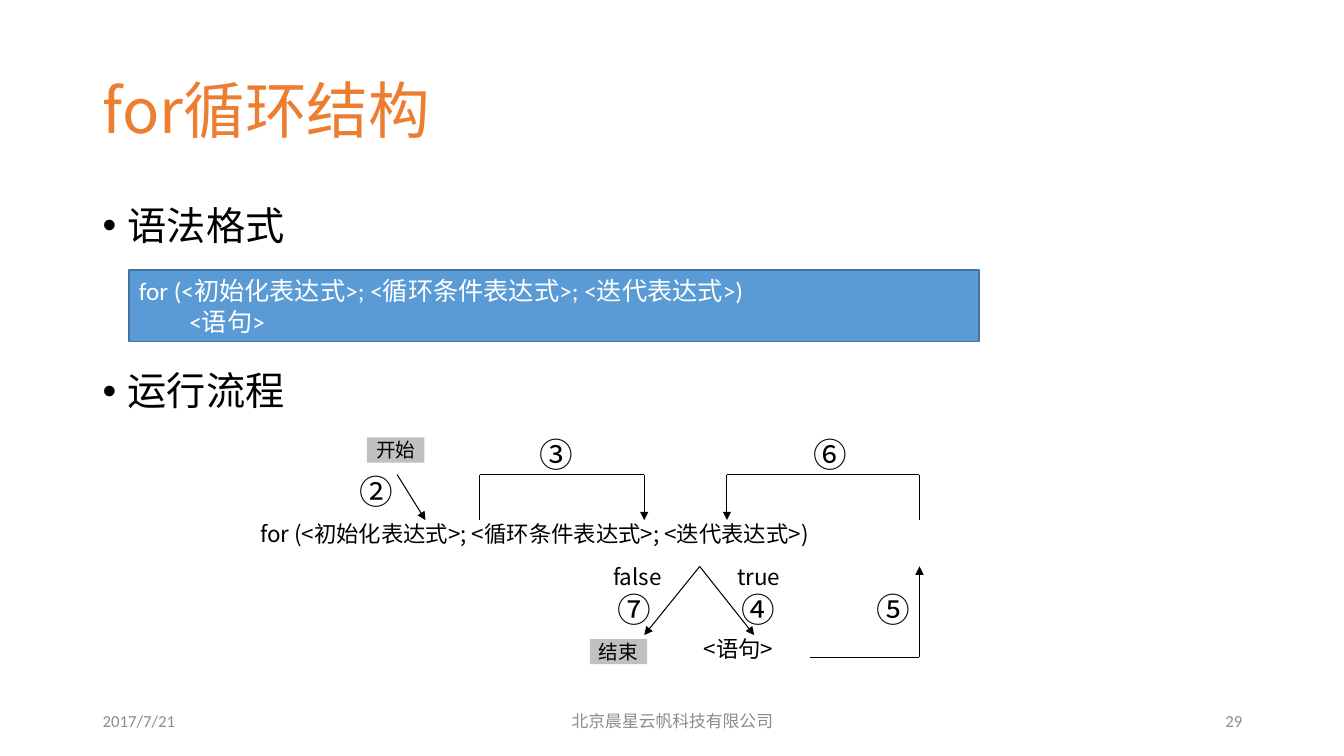
from dataclasses import dataclass

import lxml.etree
import pptx
import pptx.dml.color
import pptx.enum.shapes
import pptx.enum.text
import pptx.oxml
import pptx.oxml.ns
import pptx.util

Inches, Pt = pptx.util.Inches, pptx.util.Pt
ALIGN = pptx.enum.text.PP_ALIGN
ANCHOR = pptx.enum.text.MSO_ANCHOR
RECT = pptx.enum.shapes.MSO_SHAPE.RECTANGLE
STRAIGHT = pptx.enum.shapes.MSO_CONNECTOR.STRAIGHT
NOTO, LATIN = "Noto Sans CJK SC", "Calibri"
COLORS = {
    "title": "ED7D31", "ink": "000000", "muted": "8C8C8C", "code": "5B9BD5",
    "edge": "43739E", "tag": "C0C0C0", "paper": "FFFFFF",
}
SYNTAX = "for (<初始化表达式>; <循环条件表达式>; <迭代表达式>)"


@dataclass
class Label:
    text: str
    left: float
    top: float
    width: float
    height: float = 0.45
    size: float = 16
    align: ALIGN = ALIGN.JUSTIFY
    inset: tuple = (0.04, 0, 0, 0)
    font: str = NOTO
    color: str = "ink"
    anchor: ANCHOR = ANCHOR.TOP
    fill: str = ""
    edge: str = ""


@dataclass
class Line:
    start: tuple
    end: tuple
    arrow: bool = False


def tint(name: str) -> pptx.dml.color.RGBColor:
    return pptx.dml.color.RGBColor.from_string(COLORS[name])


def write(shape, label: Label) -> None:
    """Fill the frame with one paragraph per line of text."""
    frame = shape.text_frame
    frame.word_wrap = True
    frame.auto_size = pptx.enum.text.MSO_AUTO_SIZE.NONE
    frame.vertical_anchor = label.anchor
    (frame.margin_left, frame.margin_top,
     frame.margin_right, frame.margin_bottom) = map(Inches, label.inset)
    for i, text in enumerate(label.text.split("\n")):
        para = frame.add_paragraph() if i else frame.paragraphs[0]
        para.text = text
        para.alignment = label.align
        para.font.name = label.font
        para.font.size = Pt(label.size)
        para.font.color.rgb = tint(label.color)


def draw_label(slide, label: Label):
    box = [Inches(v) for v in (label.left, label.top, label.width, label.height)]
    if label.fill:
        shape = slide.shapes.add_shape(RECT, *box)
        shape.shadow.inherit = False
        shape.fill.solid()
        shape.fill.fore_color.rgb = tint(label.fill)
        if label.edge:
            shape.line.color.rgb = tint(label.edge)
            shape.line.width = Pt(1)
        else:
            shape.line.fill.background()
    else:
        shape = slide.shapes.add_textbox(*box)
    write(shape, label)
    return shape


def draw_line(slide, line: Line) -> None:
    link = slide.shapes.add_connector(
        STRAIGHT, *[Inches(v) for v in line.start + line.end])
    link.line.color.rgb = tint("ink")
    link.line.width = Pt(0.75)
    if line.arrow:
        lxml.etree.SubElement(link.line._get_or_add_ln(),
                              pptx.oxml.ns.qn("a:tailEnd"), type="triangle")
    lxml.etree.SubElement(link._element.spPr, pptx.oxml.ns.qn("a:effectLst"))


def indent(para, left: float, first: float = 0, bullet: str = "") -> None:
    props = para._p.get_or_add_pPr()
    props.set("marL", str(Inches(left)))
    props.set("indent", str(Inches(first)))
    if bullet:
        for tag, key, value in (("a:buFont", "typeface", "Arial"),
                                ("a:buChar", "char", bullet)):
            mark = pptx.oxml.parse_xml(
                f'<{tag} {pptx.oxml.ns.nsdecls("a")} {key}="{value}"/>')
            # Bullet marks come before the default run format
            props.insert_element_before(mark, "a:tabLst", "a:defRPr", "a:extLst")


def main() -> None:
    deck = pptx.Presentation()
    deck.slide_width, deck.slide_height = Inches(13.33), Inches(7.5)
    slide = deck.slides.add_slide(deck.slide_layouts[5])
    pad = (0.1, 0.05, 0.1, 0.05)

    # Title
    head = slide.shapes.title
    head.left, head.top = Inches(0.92), Inches(0.4)
    head.width, head.height = Inches(8.69), Inches(1.45)
    write(head, Label("for循环结构", 0.92, 0.4, 8.69, 1.45, 44, ALIGN.LEFT, pad,
                      color="title", anchor=ANCHOR.MIDDLE))
    head.text_frame.paragraphs[0].line_spacing = 0.9

    # Bulleted headings
    body = draw_label(slide, Label("语法格式\n运行流程", 0.92, 2, 11.5, 4.76, 28,
                                   ALIGN.LEFT, pad))
    for para, gap in zip(body.text_frame.paragraphs, (0, 88)):
        para.line_spacing = 0.9
        para.space_before = Pt(gap)
        indent(para, 0.25, -0.25, "•")

    # Footer
    for text, left, width, align, font in (
            ("2017/7/21", 0.92, 3, ALIGN.LEFT, LATIN),
            ("北京晨星云帆科技有限公司", 4.42, 4.5, ALIGN.CENTER, NOTO),
            ("29", 9.42, 3, ALIGN.RIGHT, LATIN)):
        draw_label(slide, Label(text, left, 6.95, width, 0.4, 12, align, pad,
                                font, "muted", ANCHOR.MIDDLE))

    # Syntax box
    code = draw_label(slide, Label(SYNTAX + "\n<语句>", 1.28, 2.68, 8.43, 0.71, 18,
                                   inset=pad, font=LATIN, color="paper",
                                   anchor=ANCHOR.MIDDLE, fill="code", edge="edge"))
    indent(code.text_frame.paragraphs[1], 0.5)

    # Flow text
    for label in (Label("<语句>", 6.94, 6.3, 1.36),
                  Label(SYNTAX, 2.58, 5.16, 8.17, inset=(0, 0, 0, 0)),
                  Label("true", 7.27, 5.55, 0.81, inset=(0.04, 0.04, 0, 0)),
                  Label("false", 6.08, 5.55, 0.82, inset=(0, 0.04, 0, 0))):
        draw_label(slide, label)

    # Start and end tags
    for text, left, top in (("开始", 3.64, 4.34), ("结束", 5.85, 6.34)):
        draw_label(slide, Label(text, left, top, 0.57, 0.25, 14, ALIGN.CENTER,
                                (0, 0, 0, 0), anchor=ANCHOR.MIDDLE, fill="tag"))

    # Flow lines: brackets above the code, branches below it
    roof, code_top, code_end, foot = 4.71, 5.16, 5.62, 6.3
    test, step, fork, edge, base = 6.39, 7.21, 6.94, 9.12, 6.52
    for line in (Line((3.94, roof), (4.22, code_top), True),
                 Line((4.76, roof), (test, roof)),
                 Line((4.76, roof), (4.76, code_top)),
                 Line((test, roof), (test, code_top), True),
                 Line((step, roof), (step, code_top), True),
                 Line((step, roof), (edge, roof)),
                 Line((edge, roof), (edge, code_top)),
                 Line((fork, code_end), (7.48, foot), True),
                 Line((fork, code_end), (test, foot), True),
                 Line((8.03, base), (edge, base)),
                 Line((edge, base), (edge, code_end), True)):
        draw_line(slide, line)

    # Step numbers
    for text, left, top in (("②", 3.53, 4.67), ("③", 5.31, 4.3), ("④", 7.31, 5.84),
                            ("⑤", 8.65, 5.84), ("⑥", 8.03, 4.3), ("⑦", 6.08, 5.84)):
        draw_label(slide, Label(text, left, top, 0.54, size=24))

    deck.save("out.pptx")


if __name__ == "__main__":
    main()
